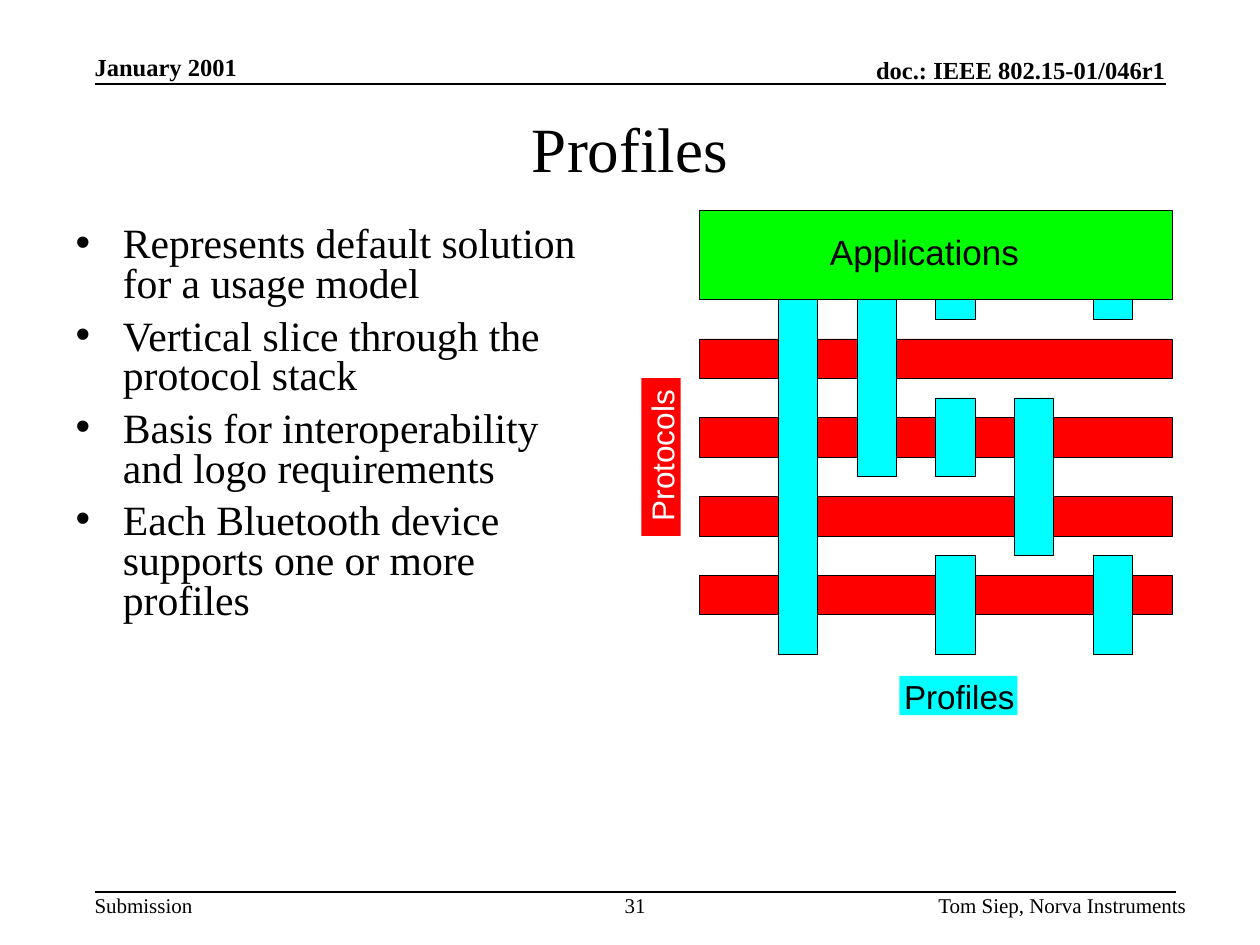
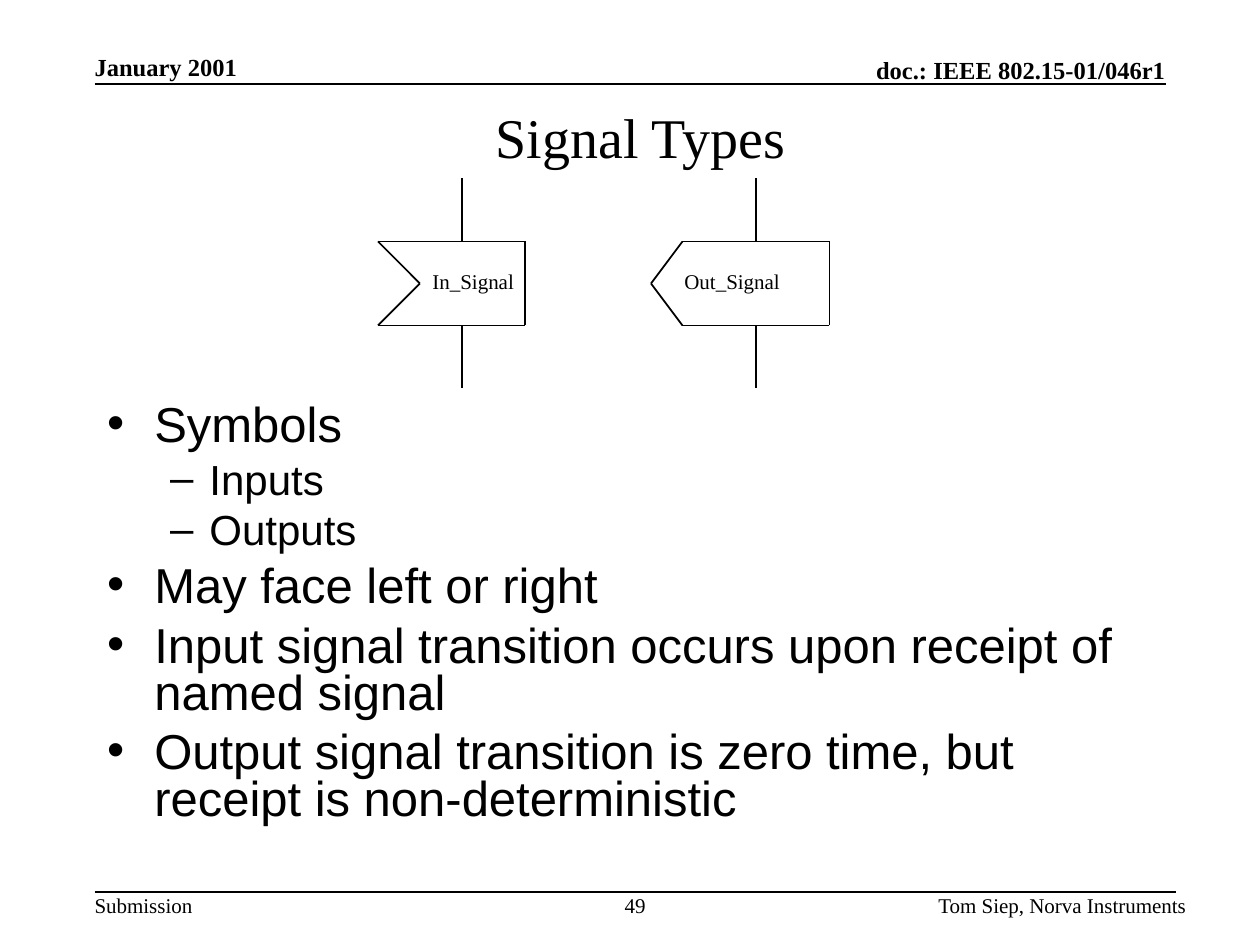
from lxml import etree
from pptx import Presentation
from pptx.dml.color import RGBColor
from pptx.enum.shapes import MSO_CONNECTOR, MSO_SHAPE
from pptx.enum.text import MSO_ANCHOR, MSO_AUTO_SIZE, PP_ALIGN
from pptx.oxml.ns import qn
from pptx.util import Inches, Pt

LEFT, CENTER, RIGHT = PP_ALIGN.LEFT, PP_ALIGN.CENTER, PP_ALIGN.RIGHT
TOP, MIDDLE, BOTTOM = MSO_ANCHOR.TOP, MSO_ANCHOR.MIDDLE, MSO_ANCHOR.BOTTOM
NO_AUTOFIT = MSO_AUTO_SIZE.NONE
STRAIGHT = MSO_CONNECTOR.STRAIGHT
RECTANGLE = MSO_SHAPE.RECTANGLE
TITLE_AND_CONTENT = 1

SERIF, SANS = "Times New Roman", "Arial"
BLACK, WHITE = "000000", "FFFFFF"
RED, CYAN, GREEN = "FF0000", "00FFFF", "00FF00"

COLUMNS, ROWS = 120, 90
SLIDE_WIDTH, SLIDE_HEIGHT = Inches(10), Inches(7.5)

BULLETS = [
    {"symbol": "•", "margin": 3 / 8, "indent": -3 / 8, "before": 7},
    {"symbol": "–", "margin": 13 / 16, "indent": -5 / 16, "before": 6},
]


def color(hex_value):
    return RGBColor.from_string(hex_value)


def across(columns):
    return round(SLIDE_WIDTH * columns / COLUMNS)


def down(rows):
    return round(SLIDE_HEIGHT * rows / ROWS)


def place(box):
    left, top, width, height = box
    return across(left), down(top), across(width), down(height)


def set_frame(frame, anchor=TOP, inset=(0, 0), wrap=True):
    frame.word_wrap = wrap
    frame.auto_size = NO_AUTOFIT
    frame.vertical_anchor = anchor
    frame.margin_left = frame.margin_right = Inches(inset[0])
    frame.margin_top = frame.margin_bottom = Inches(inset[1])


def write(paragraph, text, size=12, font=SERIF, ink=BLACK, bold=False, align=LEFT):
    paragraph.text = text
    paragraph.alignment = align
    paragraph.font.size = Pt(size)
    paragraph.font.name = font
    paragraph.font.bold = bold
    paragraph.font.color.rgb = color(ink)


def add_text(slide, box, text, anchor=TOP, inset=(0, 0), wrap=True, rotation=0, **style):
    shape = slide.shapes.add_textbox(*place(box))
    shape.rotation = rotation
    set_frame(shape.text_frame, anchor, inset, wrap)
    write(shape.text_frame.paragraphs[0], text, **style)


def add_line(slide, start, end):
    line = slide.shapes.add_connector(
        STRAIGHT, across(start[0]), down(start[1]), across(end[0]), down(end[1])
    )
    line.line.color.rgb = color(BLACK)
    line.line.width = Pt(1)
    etree.SubElement(line._element.spPr, qn("a:effectLst"))


def add_block(slide, box, fill, outlined=True):
    shape = slide.shapes.add_shape(RECTANGLE, *place(box))
    shape.shadow.inherit = False
    shape.fill.solid()
    shape.fill.fore_color.rgb = color(fill)
    if outlined:
        shape.line.color.rgb = color(BLACK)
        shape.line.width = Pt(0.25)
    else:
        shape.line.fill.background()


def add_bullet(paragraph, bullet):
    properties = paragraph._p.get_or_add_pPr()
    properties.set("marL", str(Inches(bullet["margin"])))
    properties.set("indent", str(Inches(bullet["indent"])))
    bullet_color = etree.SubElement(properties, qn("a:buClr"))
    etree.SubElement(bullet_color, qn("a:srgbClr"), val=BLACK)
    etree.SubElement(properties, qn("a:buFont"), typeface=SANS)
    etree.SubElement(properties, qn("a:buChar"), char=bullet["symbol"])


def fill_title(slide, box, text, size):
    title = slide.shapes.title
    title.left, title.top, title.width, title.height = place(box)
    set_frame(title.text_frame, MIDDLE, (0.1, 0.05))
    write(title.text_frame.paragraphs[0], text, size=size, align=CENTER)


def fill_list(slide, box, items, sizes, font):
    body = slide.placeholders[1]
    body.left, body.top, body.width, body.height = place(box)
    frame = body.text_frame
    set_frame(frame, TOP, (0.1, 0.05))
    for index, (level, text) in enumerate(items):
        paragraph = frame.add_paragraph() if index else frame.paragraphs[0]
        paragraph.level = level
        add_bullet(paragraph, BULLETS[level])
        paragraph.line_spacing = 0.8
        paragraph.space_before = Pt(BULLETS[level]["before"] if index else 0)
        write(paragraph, text, size=sizes[level], font=font)


def add_header_and_footer(slide, number):
    heading = {"anchor": BOTTOM, "size": 14, "bold": True}
    add_text(slide, (9, 4.96, 21, 2.8), "January 2001", **heading)
    add_text(slide, (59, 5.2, 52, 2.8), "doc.: IEEE 802.15-01/046r1", align=RIGHT, **heading)
    add_line(slide, (9, 8), (111, 8))
    add_line(slide, (9, 84.96), (112, 84.96))
    add_text(slide, (9, 85, 10, 2.4), "Submission")
    add_text(slide, (57, 85, 7, 2.4), str(number), align=CENTER)
    add_text(slide, (72, 85, 41, 2.4), "Tom Siep, Norva Instruments", align=RIGHT)


def add_profile_diagram(slide, box):
    left, top, width, height = box
    unit_x, unit_y = width / 12, height / 11

    def cells(column, row, columns, rows):
        return (left + column * unit_x, top + row * unit_y, columns * unit_x, rows * unit_y)

    for row in range(3, 10, 2):
        add_block(slide, cells(0, row, 12, 1), RED)

    slices = [
        (2, 0, 11), (4, 0, 6.5), (6, 0, 2.5), (6, 4.5, 2),
        (6, 8.5, 2.5), (8, 4.5, 4), (10, 0, 2.5), (10, 8.5, 2.5),
    ]
    for column, row, rows in slices:
        add_block(slide, cells(column, row, 1, rows), CYAN)

    add_block(slide, cells(0, -0.25, 12, 2.25), GREEN)
    add_text(slide, cells(3.32, 0.25, 5.4, 1.05), "Applications", size=20, font=SANS)
    add_block(slide, cells(5.08, 11.55, 3, 1), CYAN, outlined=False)
    add_text(slide, cells(5.2, 11.55, 2.8, 1), "Profiles", wrap=False, size=19, font=SANS)
    add_block(slide, cells(-1.47, 4, 1, 4), RED, outlined=False)
    add_text(slide, cells(-2.62, 5.5, 3.32, 0.95), "Protocols", wrap=False, rotation=270,
             size=18, font=SANS, ink=WHITE)


def add_signal(slide, box, tip, stem, label_left, label):
    left, top, width, height = box
    right, bottom = left + width, top + height
    corners = [(left, top), (right, top), (right, bottom), (left, bottom),
               (left + tip, top + height / 2)]
    for start, end in zip(corners, corners[1:] + corners[:1]):
        add_line(slide, start, end)

    stem_length = 6
    add_line(slide, (left + stem, top - stem_length), (left + stem, top))
    add_line(slide, (left + stem, bottom), (left + stem, bottom + stem_length))
    add_text(slide, (left + label_left, top + 2, 13, 3.6), label, inset=(0.1, 0.05))


def add_slide(presentation, number):
    slide = presentation.slides.add_slide(presentation.slide_layouts[TITLE_AND_CONTENT])
    add_header_and_footer(slide, number)
    return slide


def build_profiles(presentation):
    slide = add_slide(presentation, 31)
    fill_title(slide, (9, 9, 102, 10), "Profiles", 36)
    items = [
        (0, "Represents default solution for a usage model"),
        (0, "Vertical slice through the protocol stack"),
        (0, "Basis for interoperability and logo requirements"),
        (0, "Each Bluetooth device supports one or more profiles"),
    ]
    fill_list(slide, (6, 21, 51, 40), items, [23.8], SERIF)
    add_profile_diagram(slide, (66.6, 21, 45, 41.3))


def build_signal_types(presentation):
    slide = add_slide(presentation, 49)
    fill_title(slide, (10, 8, 102, 10), "Signal Types", 32)
    items = [
        (0, "Symbols"),
        (1, "Inputs"),
        (1, "Outputs"),
        (0, "May face left or right"),
        (0, "Input signal transition occurs upon receipt of named signal"),
        (0, "Output signal transition is zero time, but receipt is non-deterministic"),
    ]
    fill_list(slide, (9, 38, 102, 42), items, [28, 24], SANS)
    add_signal(slide, (36, 23, 14, 8), tip=4, stem=8, label_left=4, label="In_Signal")
    add_signal(slide, (65, 23, 14, 8), tip=-3, stem=7, label_left=-1, label="Out_Signal")


def main():
    presentation = Presentation()
    presentation.slide_width, presentation.slide_height = SLIDE_WIDTH, SLIDE_HEIGHT
    build_profiles(presentation)
    build_signal_types(presentation)
    presentation.save("out.pptx")


if __name__ == "__main__":
    main()
